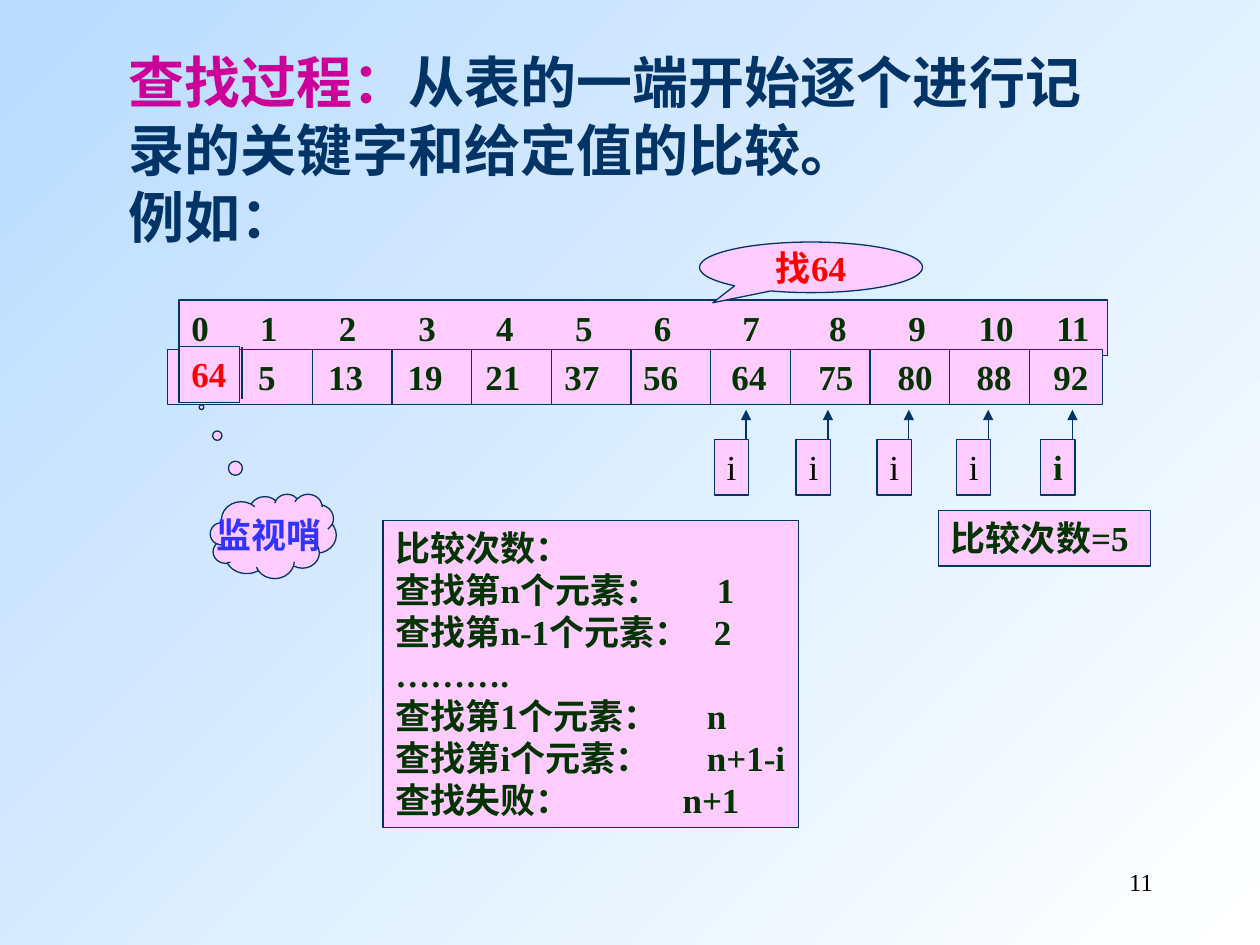
"""Build the sequential search slide with its array, pointers and counts."""
import dataclasses

import pptx
import pptx.dml.color
import pptx.enum.shapes
import pptx.enum.text
import pptx.oxml
import pptx.oxml.ns
import pptx.util

Cm = pptx.util.Cm
RGB = pptx.dml.color.RGBColor.from_string
SHAPE = pptx.enum.shapes.MSO_SHAPE
ALIGN = pptx.enum.text.PP_ALIGN
ANCHOR = pptx.enum.text.MSO_ANCHOR


@dataclasses.dataclass(frozen=True)
class Theme:
    font: str = "Times New Roman"
    sky: str = "B9DCFF"
    white: str = "FFFFFF"
    pink: str = "FFCCFF"
    navy: str = "003366"
    green: str = "003300"
    red: str = "FF0000"
    blue: str = "3333FF"
    magenta: str = "CC0099"
    black: str = "000000"
    title: int = 32
    body: int = 20
    number: int = 14
    line: float = 0.75


T = Theme()
COLUMNS = [1.56, 3.15, 4.75, 6.32, 7.91, 9.5, 11.28, 13.03, 14.63, 16.22, 17.77]
VALUES = [5, 13, 19, 21, 37, 56, 64, 75, 80, 88, 92]
COUNTS = [
    ("比较次数：", None, None),
    ("查找第n个元素：", "1", 6.48),
    ("查找第n-1个元素：", "2", 6.42),
    ("……….", None, None),
    ("查找第1个元素：", "n", 6.28),
    ("查找第i个元素：", "n+1-i", 6.28),
    ("查找失败：", "n+1", 5.79),
]


def set_background(s):
    fill = s.background.fill
    fill.gradient()
    fill.gradient_angle = 315
    for stop, color, position in zip(fill.gradient_stops, (T.sky, T.white), (0, 1)):
        stop.color.rgb = RGB(color)
        stop.position = position


def style_run(r, color, size=T.body, bold=True):
    r.font.name = T.font
    r.font.size = pptx.util.Pt(size)
    r.font.bold = bold
    r.font.color.rgb = RGB(color)


def set_tabs(p, stops, align):
    tabs = pptx.oxml.parse_xml(f"<a:tabLst {pptx.oxml.ns.nsdecls('a')}/>")
    for stop in stops:
        tab = tabs.makeelement(pptx.oxml.ns.qn("a:tab"), {"pos": str(Cm(stop)), "algn": align})
        tabs.append(tab)
    p._p.get_or_add_pPr().append(tabs)


def add_box(shapes, box, text="", color=T.green, kind=SHAPE.RECTANGLE, bold=True,
            wrap=False, align=ALIGN.LEFT, anchor=ANCHOR.TOP):
    sp = shapes.add_shape(kind, *map(Cm, box))
    sp.shadow.inherit = False
    sp.fill.solid()
    sp.fill.fore_color.rgb = RGB(T.pink)
    sp.line.color.rgb = RGB(T.navy)
    sp.line.width = pptx.util.Pt(T.line)
    tf = sp.text_frame
    tf.word_wrap = wrap
    tf.vertical_anchor = anchor
    tf.text = text
    for p in tf.paragraphs:
        p.alignment = align
        for r in p.runs:
            style_run(r, color, bold=bold)
    return sp


def add_callout(shapes, box, text, color, kind, tip):
    sp = add_box(shapes, box, text, color, kind, align=ALIGN.CENTER, anchor=ANCHOR.MIDDLE)
    sp.adjustments[0], sp.adjustments[1] = tip


def add_row(shapes, box, cells, shift=0):
    sp = add_box(shapes, box, "\t".join(map(str, cells)), wrap=True, anchor=ANCHOR.MIDDLE)
    sp.text_frame.margin_right = 0
    set_tabs(sp.text_frame.paragraphs[0], [x + shift for x in COLUMNS], "ctr")


def add_line(shapes, x, y1, y2, arrow=False):
    line = shapes.add_connector(pptx.enum.shapes.MSO_CONNECTOR.STRAIGHT,
                                Cm(x), Cm(y1), Cm(x), Cm(y2))
    line.line.color.rgb = RGB(T.navy)
    line.line.width = pptx.util.Pt(T.line)
    ns = pptx.oxml.ns.nsdecls("a")
    if arrow:
        line.line._get_or_add_ln().append(pptx.oxml.parse_xml(f'<a:tailEnd {ns} type="triangle"/>'))
    line._element.spPr.append(pptx.oxml.parse_xml(f"<a:effectLst {ns}/>"))


def add_pointer(s, x, color=T.black, bold=False):
    shapes = s.shapes.add_group_shape().shapes
    add_line(shapes, x + 0.64, 9.25, 8.26, arrow=True)
    add_box(shapes, (x, 8.86, 0.69, 1.12), "i", color, bold=bold)


def add_counts(s):
    text = "\n".join(label if value is None else f"{label}\t{value}" for label, value, _ in COUNTS)
    sp = add_box(s.shapes, (7.72, 10.49, 8.38, 6.2), text, wrap=True)
    sp.text_frame.margin_right = 0
    for p, (_, _, stop) in zip(sp.text_frame.paragraphs, COUNTS):
        if stop:
            set_tabs(p, [stop], "l")


def add_text(s, box, paragraphs, size, bold=True, align=ALIGN.LEFT):
    tf = s.shapes.add_textbox(*map(Cm, box)).text_frame
    tf.word_wrap = True
    for i, runs in enumerate(paragraphs):
        p = tf.add_paragraph() if i else tf.paragraphs[0]
        p.alignment = align
        for text, color in runs:
            r = p.add_run()
            r.text = text
            style_run(r, color, size, bold)


def main():
    prs = pptx.Presentation()
    prs.slide_width, prs.slide_height = Cm(25.4), Cm(19.05)
    s = prs.slides.add_slide(prs.slide_layouts[6])
    set_background(s)
    add_text(s, (18.21, 17.35, 5.28, 1.27), [[("11", T.black)]], T.number, False, ALIGN.RIGHT)
    add_pointer(s, 20.98, T.green, True)
    add_row(s.shapes, (3.61, 6.05, 18.72, 1.12), range(12))
    add_row(s.shapes, (3.38, 7.04, 18.85, 1.12), ["", *VALUES], shift=0.19)
    first, last = 6.3, 20.75
    for k in range(10):
        add_line(s.shapes, first + (last - first) / 9 * k, 7.04, 8.16)
    add_callout(s.shapes, (14.1, 4.88, 4.5, 1.02), "找64", T.red,
                SHAPE.OVAL_CALLOUT, (-0.44, 0.7))
    add_line(s.shapes, 4.88, 6.99, 8.05)
    add_box(s.shapes, (3.61, 6.99, 1.22, 1.12), "64", T.red)
    add_callout(s.shapes, (4.24, 9.96, 2.54, 1.7), "监视哨", T.blue,
                SHAPE.CLOUD_CALLOUT, (-0.57, -1.53))
    for x in (14.4, 16.05, 17.68, 19.28):
        add_pointer(s, x)
    add_box(s.shapes, (18.92, 10.29, 4.27, 1.12), "比较次数=5")
    add_counts(s)
    add_text(s, (2.34, 0.84, 20.52, 4.32), [
        [("查找过程：", T.magenta), ("从表的一端开始逐个进行记录的关键字和给定值的比较。", T.navy)],
        [("例如：", T.navy)],
    ], T.title)
    prs.save("out.pptx")


if __name__ == "__main__":
    main()
